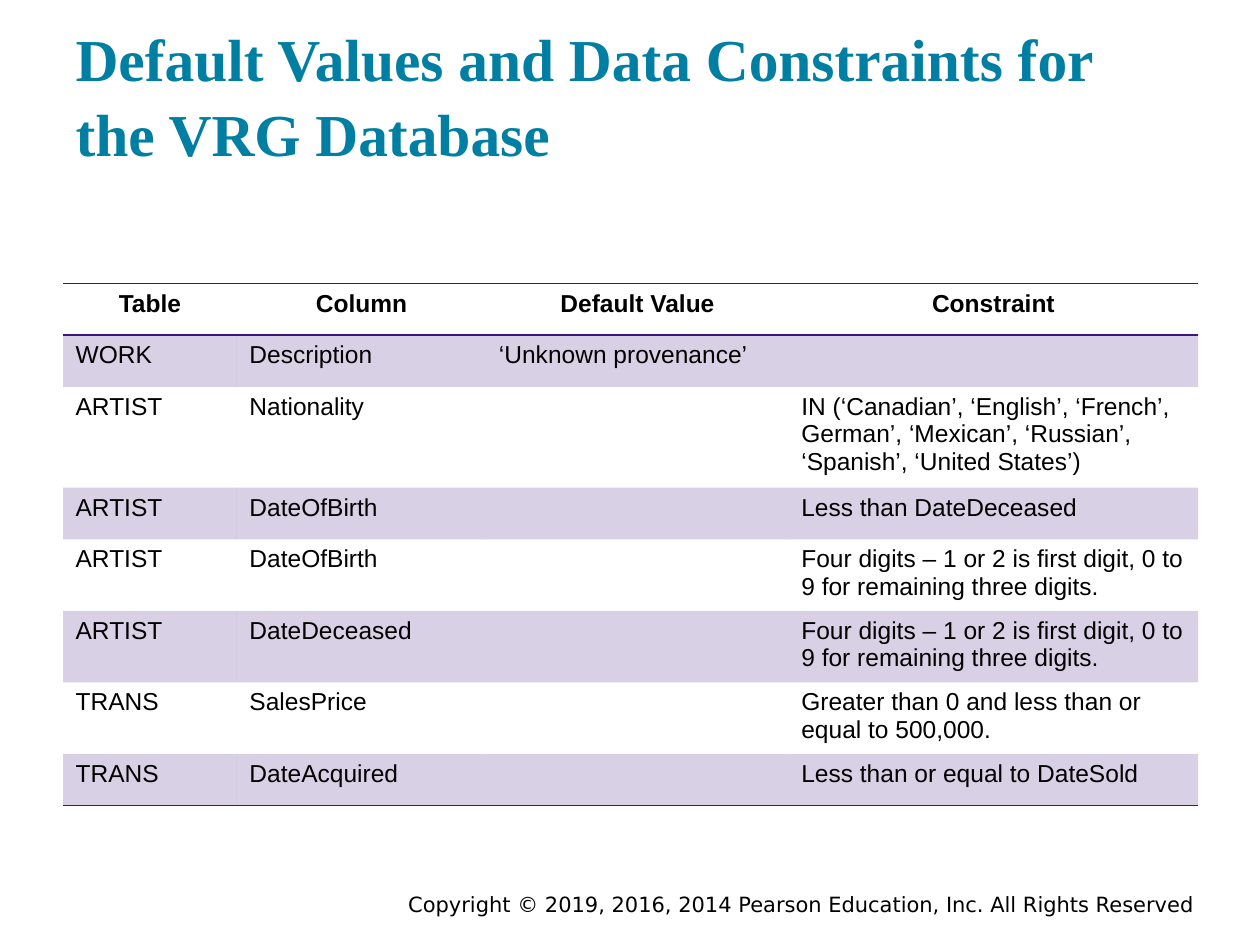
import pptx
import pptx.dml.color
import pptx.enum.text
import pptx.oxml
import pptx.oxml.ns
import pptx.util

Inches = pptx.util.Inches
ALIGN = pptx.enum.text.PP_ALIGN
ANCHOR = pptx.enum.text.MSO_ANCHOR

PURPLE = "3C1581"
PLAIN = "{2D5ABB26-0587-4C30-8999-92F81FD0307C}"  # no style, no grid
WIDTHS = [1.38, 1.98, 2.4, 3.25]
DIGITS = "Four digits – 1 or 2 is first digit, 0 to 9 for remaining three digits."
ROWS = [
    ["Table", "Column", "Default Value", "Constraint"],
    ["WORK", "Description", "‘Unknown provenance’", ""],
    ["ARTIST", "Nationality", "",
     "IN (‘Canadian’, ‘English’, ‘French’, German’, ‘Mexican’, "
     "‘Russian’, ‘Spanish’, ‘United States’)"],
    ["ARTIST", "DateOfBirth", "", "Less than DateDeceased"],
    ["ARTIST", "DateOfBirth", "", DIGITS],
    ["ARTIST", "DateDeceased", "", DIGITS],
    ["TRANS", "SalesPrice", "", "Greater than 0 and less than or equal to 500,000."],
    ["TRANS", "DateAcquired", "", "Less than or equal to DateSold"],
]


def color(code):
    return pptx.dml.color.RGBColor.from_string(code)


def write(frame, text, size=14, font="Arial", code="000000", bold=False,
          align=ALIGN.LEFT, lines=1.0):
    para = frame.paragraphs[0]
    para.alignment = align
    para.line_spacing = lines
    run = para.add_run()
    run.text = text
    run.font.size = pptx.util.Pt(size)
    run.font.name = font
    run.font.bold = bold
    run.font.color.rgb = color(code)


def inset(frame, side, end):
    frame.margin_left = frame.margin_right = Inches(side)
    frame.margin_top = frame.margin_bottom = Inches(end)


def rule(cell, edge):
    """Draw a one-point line on the edge 'T' or 'B' of a cell."""
    cell._tc.get_or_add_tcPr().append(pptx.oxml.parse_xml(
        f'<a:ln{edge} {pptx.oxml.ns.nsdecls("a")} w="12700"><a:solidFill>'
        f'<a:srgbClr val="{PURPLE}"/></a:solidFill></a:ln{edge}>'))


def tint(cell):
    """Fill a cell with purple at 20 % opacity."""
    cell.fill.solid()
    cell.fill.fore_color.rgb = color(PURPLE)
    shade = cell._tc.tcPr.find(".//" + pptx.oxml.ns.qn("a:solidFill") + "[last()]")
    shade = cell._tc.tcPr.findall(pptx.oxml.ns.qn("a:solidFill"))[0]
    shade[0].append(pptx.oxml.parse_xml(
        f'<a:alpha {pptx.oxml.ns.nsdecls("a")} val="20000"/>'))


def add_title(slide, text):
    title = slide.shapes.title
    title.left, title.top = Inches(0.5), Inches(0.24)
    title.width, title.height = Inches(9), Inches(1.2)
    frame = title.text_frame
    frame.auto_size = pptx.enum.text.MSO_AUTO_SIZE.NONE
    frame.vertical_anchor = ANCHOR.BOTTOM
    inset(frame, 0.1, 0.1)
    write(frame, text, size=34, font="Times New Roman", code="007FA3",
          bold=True, lines=1.05)


def add_grid(slide):
    shape = slide.shapes.add_table(
        len(ROWS), len(WIDTHS), Inches(0.5), Inches(2.25),
        Inches(9), Inches(0.41 * len(ROWS)))
    grid = shape.table
    grid.first_row = grid.horz_banding = False
    grid._tbl.tblPr.find(pptx.oxml.ns.qn("a:tableStyleId")).text = PLAIN
    for col, width in zip(grid.columns, WIDTHS):
        col.width = Inches(width)
    for r, row in enumerate(ROWS):
        head = r == 0
        grid.rows[r].height = Inches(0.41)
        for c, text in enumerate(row):
            cell = grid.cell(r, c)
            if head:
                rule(cell, "T")
            if head or r == len(ROWS) - 1:
                rule(cell, "B")
            # Odd rows are banded
            if r % 2:
                tint(cell)
            else:
                cell.fill.background()
            if text:
                write(cell.text_frame, text, bold=head,
                      align=ALIGN.CENTER if head else ALIGN.LEFT)


def add_foot(slide, text):
    box = slide.shapes.add_textbox(
        Inches(1.75), Inches(7.03), Inches(7.83), Inches(0.22))
    frame = box.text_frame
    frame.word_wrap = True
    inset(frame, 0.1, 0.05)
    write(frame, text, size=12, font="DejaVu Sans", align=ALIGN.RIGHT)


def main():
    deck = pptx.Presentation()
    deck.slide_width, deck.slide_height = Inches(10), Inches(7.5)
    slide = deck.slides.add_slide(deck.slide_layouts[5])
    add_foot(slide, "Copyright © 2019, 2016, 2014 Pearson Education, Inc. "
                    "All Rights Reserved")
    add_title(slide, "Default Values and Data Constraints for the VRG Database")
    add_grid(slide)
    deck.save("out.pptx")


if __name__ == "__main__":
    main()
